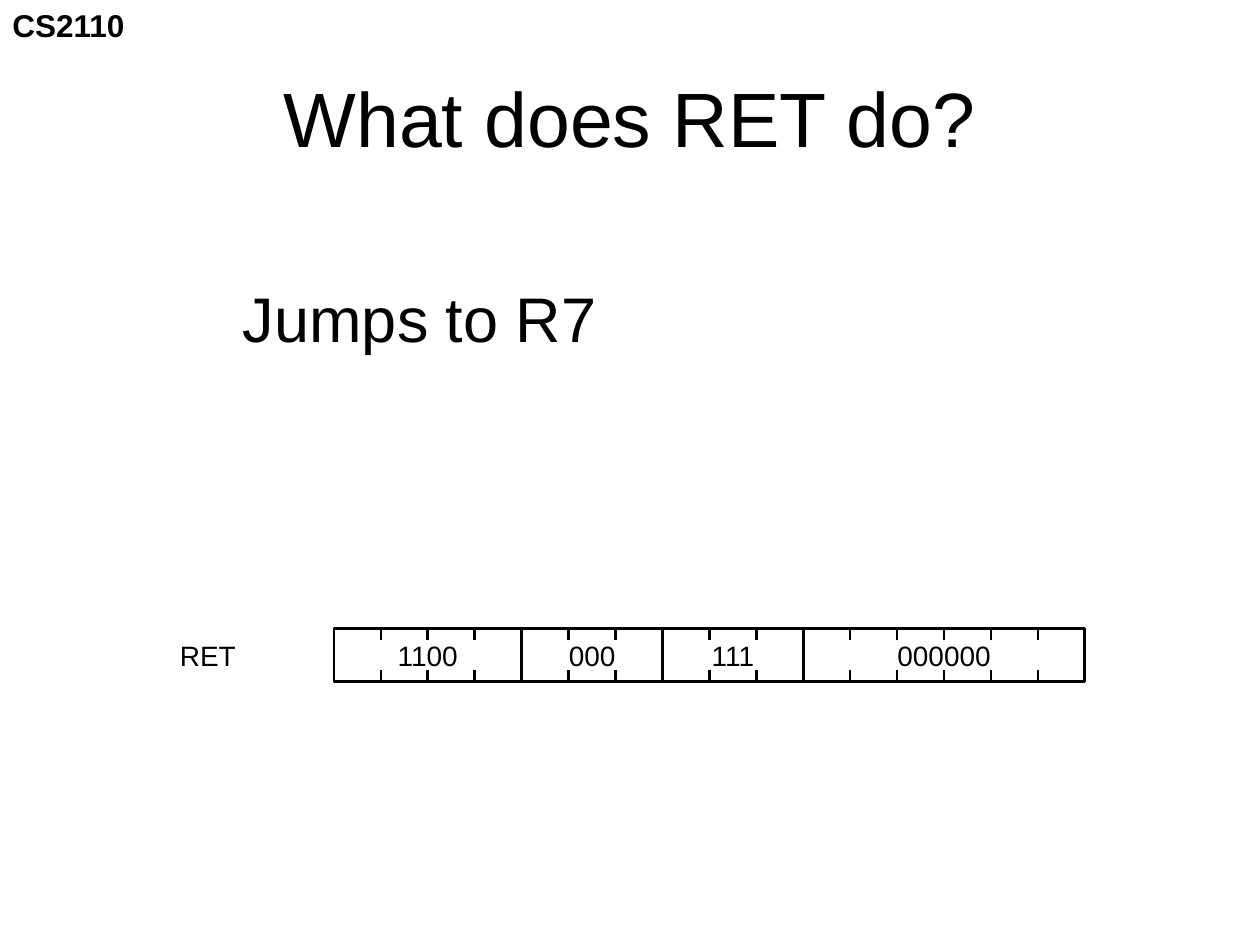
from lxml import etree
from pptx import Presentation
from pptx import util as u
from pptx.dml.color import RGBColor
from pptx.enum import shapes, text

FONT = "Arial"
BLACK = "000000"
LEFT, RIGHT, TOP, HEIGHT = 2.65, 8.61, 4.99, 0.42
TICK = 0.09
FIELDS = ["1100", "000", "111", "000000"]


def rgb(value):
    return RGBColor.from_string(value)


class SlideBuilder:
    """Adds elements in one shared style to the current slide."""

    def __init__(self, slide):
        self.s = slide

    def style(self, tf, content, size, bold=False, align=text.PP_ALIGN.LEFT):
        tf.text = content
        p = tf.paragraphs[0]
        p.alignment = align
        font = p.runs[0].font
        font.name, font.size, font.bold = FONT, u.Pt(size), bold
        font.color.rgb = rgb(BLACK)

    def outline(self, line):
        line.color.rgb = rgb(BLACK)
        line.width = u.Pt(1.5)

    def title(self, content, x, y, w, h):
        sp = self.s.shapes.title
        sp.left, sp.top, sp.width, sp.height = map(u.Inches, (x, y, w, h))
        sp.text_frame.vertical_anchor = text.MSO_ANCHOR.MIDDLE
        self.style(sp.text_frame, content, 44, align=text.PP_ALIGN.CENTER)

    def label(self, content, x, y, w, h, size, wrap=False, **style):
        sp = self.s.shapes.add_textbox(*map(u.Inches, (x, y, w, h)))
        tf = sp.text_frame
        tf.word_wrap = wrap
        tf.auto_size = text.MSO_AUTO_SIZE.SHAPE_TO_FIT_TEXT
        self.style(tf, content, size, **style)

    def box(self, x, y, w, h):
        sp = self.s.shapes.add_shape(
            shapes.MSO_SHAPE.RECTANGLE, *map(u.Inches, (x, y, w, h)))
        sp.shadow.inherit = False
        sp.fill.background()
        self.outline(sp.line)

    def tick(self, x, y):
        line = self.s.shapes.add_connector(
            shapes.MSO_CONNECTOR.STRAIGHT, *map(u.Inches, (x, y, x, y + TICK)))
        self.outline(line.line)
        sp_pr = line.element.spPr
        ns = sp_pr.nsmap["a"]
        etree.SubElement(sp_pr, f"{{{ns}}}effectLst")

    def bit_field(self, bits, x, pitch):
        width = len(bits) * pitch
        self.box(x, TOP, width, HEIGHT)
        for i in range(1, len(bits)):
            for y in (TOP, TOP + HEIGHT - TICK):
                self.tick(x + i * pitch, y)
        text_width = 0.22 + 0.12 * len(bits) + 0.01 * (len(bits) // 3)
        self.label(bits, x + (width - text_width) / 2, 5.02, text_width, 0.37,
                   16, align=text.PP_ALIGN.CENTER)


prs = Presentation()
prs.slide_width, prs.slide_height = u.Inches(10), u.Inches(7.5)
slide = SlideBuilder(prs.slides.add_slide(prs.slide_layouts[5]))

slide.label("CS2110", 0, 0, 1.1, 0.4, 18, bold=True)
slide.title("What does RET do?", 0.5, 0.3, 9, 1.25)
slide.label("Jumps to R7", 1.83, 2.17, 5.28, 0.71, 36, wrap=True)
slide.label("RET", 1.33, 5.02, 0.64, 0.37, 16)

pitch = (RIGHT - LEFT) / sum(map(len, FIELDS))
x = LEFT
for bits in FIELDS:
    slide.bit_field(bits, x, pitch)
    x += len(bits) * pitch

prs.save("out.pptx")
